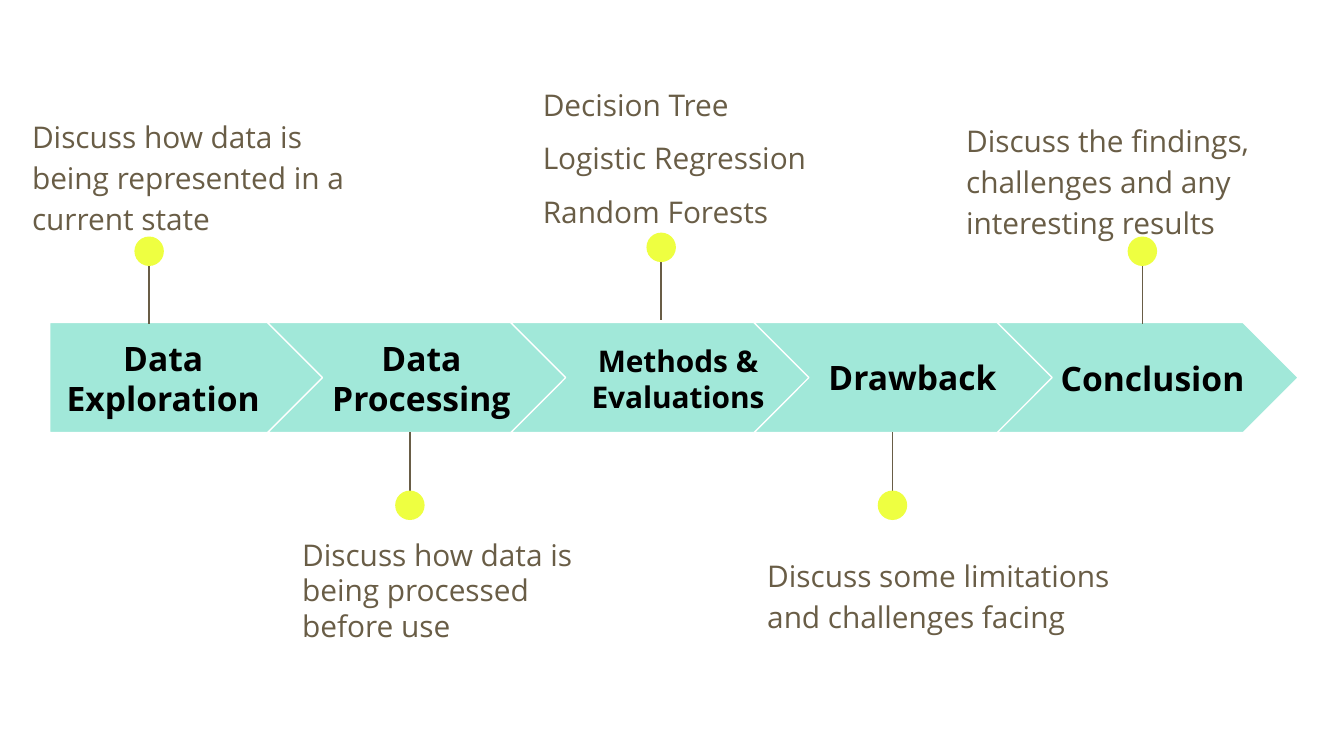
from lxml import etree
from pptx import Presentation
from pptx.dml.color import RGBColor
from pptx.enum import shapes, text
from pptx.oxml.ns import qn
from pptx.util import Pt

TEAL, YELLOW, BROWN, BLACK, WHITE = "A1E8D9", "EEFF41", "695D46", "000000", "FFFFFF"
BAND_TOP, BAND_HEIGHT, PITCH = 172.8, 59, 130.3
DOT, STEM, OVERLAP = 15.8, 44, 3


def paint(color_format, hex_color):
    """Set a solid fill or a font colour from a hex string."""
    if hasattr(color_format, "solid"):
        color_format.solid()
        color_format = color_format.fore_color
    color_format.rgb = RGBColor.from_string(hex_color)


def add_text(box, lines, size, color, bold=False, spacing=1.0, after=0,
             align=text.PP_ALIGN.LEFT, anchor=text.MSO_ANCHOR.TOP):
    frame = slide.shapes.add_textbox(*[Pt(v) for v in box]).text_frame
    frame.word_wrap = True
    frame.vertical_anchor = anchor
    frame.margin_left = frame.margin_right = Pt(7.2)
    frame.margin_top = frame.margin_bottom = Pt(7.2)
    for i, line in enumerate(lines):
        paragraph = frame.add_paragraph() if i else frame.paragraphs[0]
        paragraph.alignment = align
        paragraph.line_spacing = spacing
        paragraph.space_after = Pt(after)
        run = paragraph.add_run()
        run.text = line
        run.font.name = "Open Sans"
        run.font.size = Pt(size)
        run.font.bold = bold
        paint(run.font.color, color)


prs = Presentation()
prs.slide_width, prs.slide_height = Pt(720), Pt(405)
slide = prs.slides.add_slide(prs.slide_layouts[6])

# Process band: a pentagon, then chevrons at an equal pitch
band = [(26.6, 147.6)]
band += [(143.3 + i * PITCH, width) for i, width in enumerate([283.7, 161.3, 161.3, 161.3])]
for i, (left, width) in enumerate(band):
    kind = shapes.MSO_SHAPE.CHEVRON if i else shapes.MSO_SHAPE.PENTAGON
    step = slide.shapes.add_shape(kind, Pt(left), Pt(BAND_TOP), Pt(width), Pt(BAND_HEIGHT))
    step.shadow.inherit = False
    step.adjustments[0] = 0.5
    paint(step.fill, TEAL)
    paint(step.line.fill, WHITE)
    step.line.width = Pt(0.75)

# Step names: box, wording, size
names = [
    ((26.6, 184.3, 121.7, 36.7), "Data Exploration", 18),
    ((168.5, 184.3, 114.5, 36.7), "Data Processing", 18),
    ((306, 194.4, 114.5, 16.6), "Methods & Evaluations", 16),
    ((432.7, 183.6, 112.3, 36.7), "Drawback", 18),
    ((560.2, 184.3, 114.5, 36.7), "Conclusion", 18),
]
for box, name, size in names:
    add_text(box, [name], size, BLACK, bold=True,
             align=text.PP_ALIGN.CENTER, anchor=text.MSO_ANCHOR.MIDDLE)

# Pins: centre x, top of dot, whether the pin stands above the band
pins = [
    (79.9, 126.7, True),
    (219.6, 262.8, False),
    (354.2, 124.6, True),
    (478.1, 262.8, False),
    (612, 126.7, True),
]
for x, dot_top, above in pins:
    start = dot_top + OVERLAP if above else dot_top + DOT - OVERLAP
    end = start + STEM if above else start - STEM
    stem = slide.shapes.add_connector(
        shapes.MSO_CONNECTOR.STRAIGHT, Pt(x), Pt(start), Pt(x), Pt(end))
    paint(stem.line.fill, BROWN)
    stem.line.width = Pt(0.75)
    etree.SubElement(stem.element.spPr, qn("a:effectLst"))
    dot = slide.shapes.add_shape(
        shapes.MSO_SHAPE.OVAL, Pt(x - DOT / 2), Pt(dot_top), Pt(DOT), Pt(DOT))
    dot.shadow.inherit = False
    paint(dot.fill, YELLOW)
    dot.line.fill.background()

# Descriptions: box, lines, line spacing, space after
descriptions = [
    ((10.1, 53.3, 193, 71.3),
     ["Discuss how data is being represented in a current state"], 1.15, 16),
    ((154.8, 280.1, 170.6, 77), ["Discuss how data is being processed before use"], 1.0, 16),
    ((283.7, 29.5, 186.5, 87.1),
     ["Decision Tree", "Logistic Regression", "Random Forests"], 1.5, 0),
    ((403.9, 288.7, 200.2, 71.3),
     ["Discuss some limitations and challenges facing"], 1.15, 16),
    ((510.5, 55.4, 213.1, 71.3),
     ["Discuss the findings, challenges and any interesting results"], 1.15, 16),
]
for box, lines, spacing, after in descriptions:
    add_text(box, lines, 16, BROWN, spacing=spacing, after=after)

prs.save("out.pptx")
